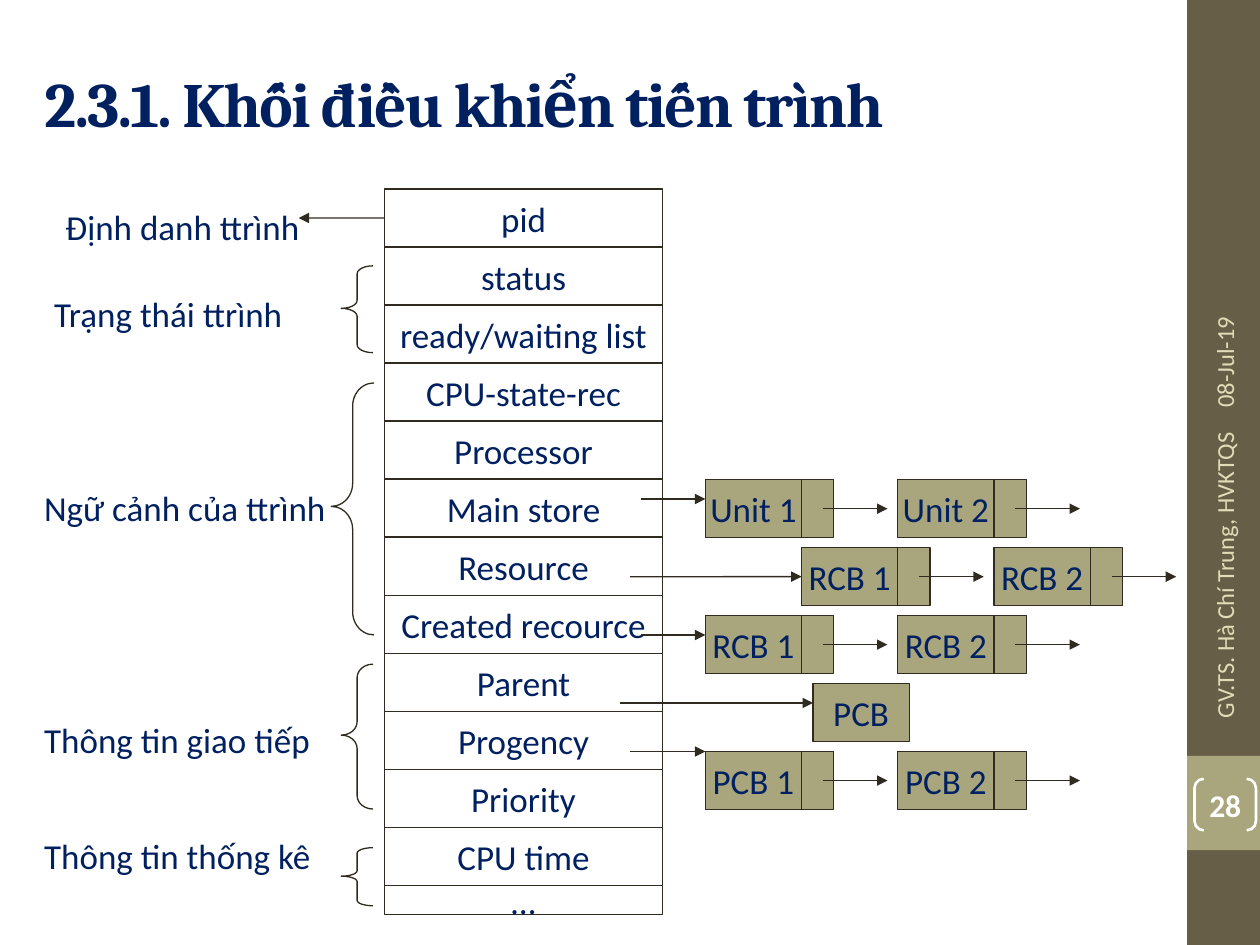
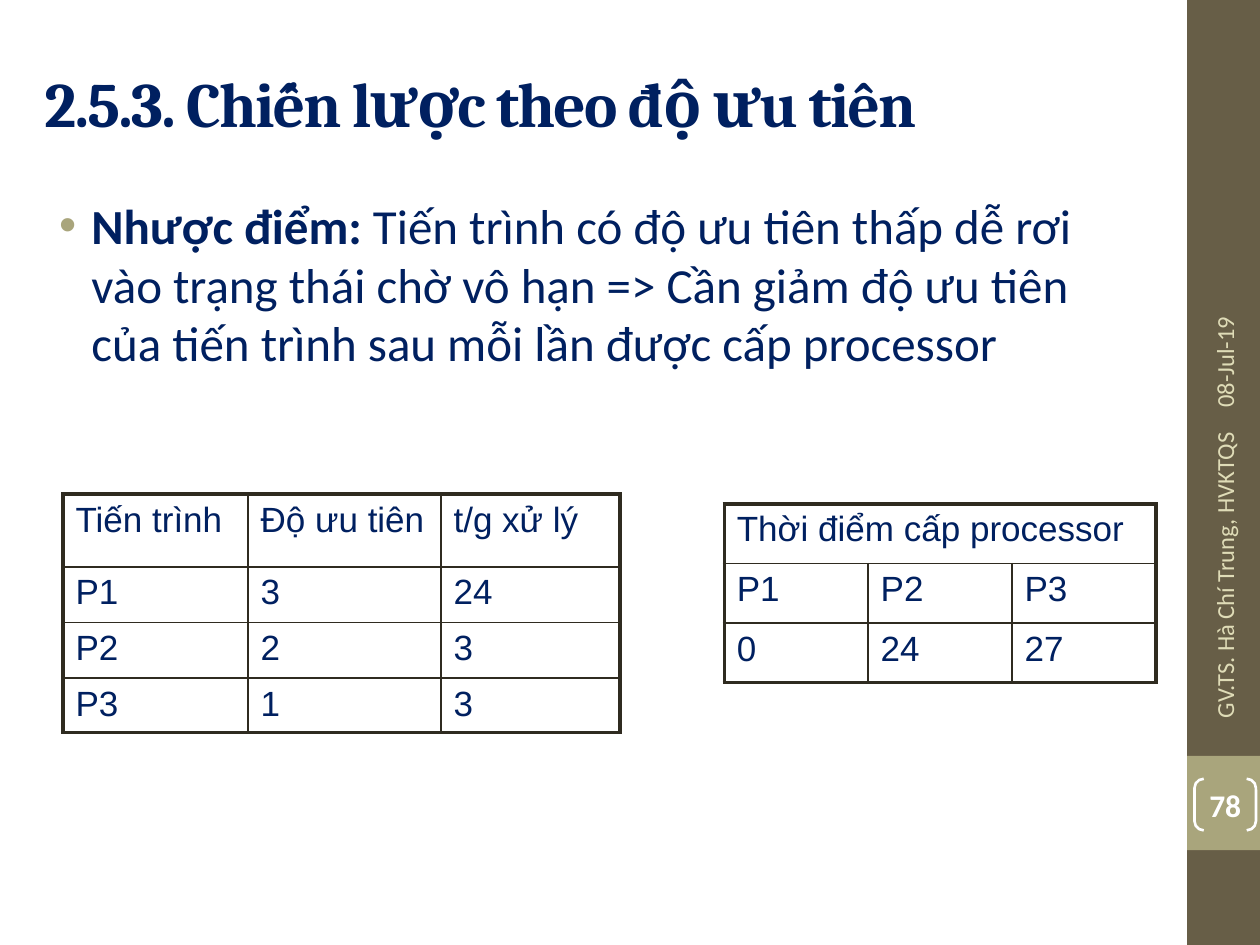
from dataclasses import dataclass
from typing import Any, Optional

from lxml import etree
from pptx import Presentation
from pptx.dml.color import RGBColor
from pptx.enum.shapes import MSO_CONNECTOR, MSO_SHAPE
from pptx.enum.text import MSO_ANCHOR, PP_ALIGN
from pptx.oxml.ns import qn
from pptx.util import Cm, Pt

RECTANGLE = MSO_SHAPE.RECTANGLE
LEFT_BRACE = MSO_SHAPE.LEFT_BRACE
BRACKETS = MSO_SHAPE.DOUBLE_BRACKET
STRAIGHT = MSO_CONNECTOR.STRAIGHT
MIDDLE = MSO_ANCHOR.MIDDLE
LEFT, CENTER, RIGHT = PP_ALIGN.LEFT, PP_ALIGN.CENTER, PP_ALIGN.RIGHT
LEFT_SIDE = 1

NAVY, INK, OLIVE = "002060", "2F2B20", "A9A57C"
BROWN, CREAM, WHITE = "675E47", "DFDCB7", "FFFFFF"

TITLE_FONT = {"name": "Cambria", "size": Pt(36), "bold": True}
BODY_FONT = {"name": "Calibri", "size": Pt(28)}
LABEL_FONT = {"name": "Calibri", "size": Pt(20), "bold": False}
TABLE_FONT = {"name": "Arial", "size": Pt(20), "bold": False}
FOOTER_FONT = {"name": "Calibri", "size": Pt(14)}
NUMBER_FONT = {"name": "Calibri", "size": Pt(18), "bold": True}

FIELD_LEFT, FIELD_TOP, FIELD_WIDTH, ROW_HEIGHT = 7.75, 3.81, 5.61, 1.17
LAST_ROW_HEIGHT = 0.59
NODE_WIDTH, TAB_WIDTH, NODE_STEP = 1.94, 0.65, 3.88
CHAIN_LEFT, CHAIN_TOP, CHAIN_STEP = 14.22, 9.67, 1.37
LINK_START, LINK_LENGTH = 2.37, 1.3


@dataclass
class Area:
    left: float
    top: float
    width: float
    height: float

    def lengths(self) -> tuple:
        return Cm(self.left), Cm(self.top), Cm(self.width), Cm(self.height)


@dataclass
class Label:
    text: str
    left: float
    top: float
    width: float


@dataclass
class Brace:
    area: Area
    curve: float


@dataclass
class Chain:
    nodes: list[str]
    left: float
    entry_left: float
    entry_drop: float
    linked: bool = True


@dataclass
class Grid:
    left: float
    top: float
    columns: list[float]
    heights: list[float]
    rows: list[list[str]]


FIELDS = ["pid", "status", "ready/waiting list", "CPU-state-rec", "Processor",
          "Main store", "Resource", "Created recource", "Parent", "Progency",
          "Priority", "CPU time", "…"]
LABELS = [
    Label("Định danh ttrình", 1.07, 4.01, 5.28),
    Label("Trạng thái ttrình", 0.84, 5.77, 5.18),
    Label("Ngữ cảnh của ttrình", 0.64, 9.68, 6.25),
    Label("Thông tin giao tiếp", 0.64, 14.35, 5.92),
    Label("Thông tin thống kê", 0.64, 16.69, 5.94),
]
BRACES = [
    Brace(Area(6.88, 5.36, 0.64, 1.75), 0.25),
    Brace(Area(6.68, 7.72, 0.86, 5.08), 0.54),
    Brace(Area(6.88, 13.39, 0.64, 2.92), 0.42),
    Brace(Area(6.88, 17.09, 0.64, 1.17), 0.17),
]
CHAINS = [
    Chain(["Unit 1", "Unit 2"], CHAIN_LEFT, 12.93, 0.39),
    Chain(["RCB 1", "RCB 2"], CHAIN_LEFT + NODE_WIDTH, 12.7, ROW_HEIGHT / 2),
    Chain(["RCB 1", "RCB 2"], CHAIN_LEFT, 12.93, 0.39),
    Chain(["PCB"], 16.39, 12.5, 0.39, linked=False),
    Chain(["PCB 1", "PCB 2"], CHAIN_LEFT, 12.7, 0),
]
GRIDS = [
    Grid(1.27, 9.96, [3.73, 3.89, 3.61], [1.47, 1.12, 1.12, 1.04],
         [["Tiến trình", "Độ ưu tiên", "t/g xử lý"],
          ["P1", "3", "24"], ["P2", "2", "3"], ["P3", "1", "3"]]),
    Grid(14.6, 10.16, [2.9] * 3, [1.2] * 3,
         [["Thời điểm cấp processor"], ["P1", "P2", "P3"], ["0", "24", "27"]]),
]


def rgb(value: str) -> RGBColor:
    return RGBColor.from_string(value)


def apply(target: Any, values: dict) -> None:
    for name, value in values.items():
        setattr(target, name, value)


def write(para: Any, text: str, font: dict, color: str = NAVY) -> Any:
    span = para.add_run()
    span.text = text
    apply(span.font, font)
    span.font.color.rgb = rgb(color)
    return span


def add_box(page: Any, area: Area, fill: Optional[str] = None, line: Optional[str] = INK,
            kind: Any = RECTANGLE, weight: float = 0.75) -> Any:
    box = page.shapes.add_shape(kind, *area.lengths())
    box.shadow.inherit = False
    if fill:
        box.fill.solid()
        box.fill.fore_color.rgb = rgb(fill)
    else:
        box.fill.background()
    if line:
        box.line.color.rgb = rgb(line)
        box.line.width = Pt(weight)
    else:
        box.line.fill.background()
    return box


def fill_box(box: Any, text: str, font: dict = LABEL_FONT, color: str = NAVY) -> None:
    apply(box.text_frame, {"word_wrap": False, "vertical_anchor": MIDDLE})
    para = box.text_frame.paragraphs[0]
    para.alignment = CENTER
    write(para, text, font, color)


def add_arrow(page: Any, start: float, end: float, top: float) -> Any:
    arrow = page.shapes.add_connector(STRAIGHT, Cm(start), Cm(top), Cm(end), Cm(top))
    arrow.line.color.rgb = rgb(INK)
    arrow.line.width = Pt(0.75)
    properties = arrow.element.spPr
    etree.SubElement(properties.find(qn("a:ln")), qn("a:tailEnd"), type="triangle")
    etree.SubElement(properties, qn("a:effectLst"))
    return arrow


def place(shape: Any, area: Area) -> None:
    apply(shape, dict(zip(("left", "top", "width", "height"), area.lengths())))


def add_side_text(page: Any, text: str, area: Area, alignment: Any) -> None:
    box = page.shapes.add_textbox(*area.lengths())
    box.rotation = 270
    apply(box.text_frame, {"word_wrap": True, "vertical_anchor": MIDDLE})
    para = box.text_frame.paragraphs[0]
    para.alignment = alignment
    write(para, text, FOOTER_FONT, CREAM)


def start_page(deck: Any, layout: int, title: str, number: str) -> Any:
    page = deck.slides.add_slide(deck.slide_layouts[layout])
    heading = page.shapes.title
    place(heading, Area(0.64, 0.76, 22.66, 2.62))
    heading.text_frame.vertical_anchor = MIDDLE
    para = heading.text_frame.paragraphs[0]
    para.alignment = LEFT
    span = write(para, title, TITLE_FONT)
    span.font.element.set("spc", "-100") if hasattr(span.font, "element") else \
        span.font._element.set("spc", "-100") if hasattr(span.font, "_element") else \
        span._r.get_or_add_rPr().set("spc", "-100")
    add_box(page, Area(23.93, 0, 1.47, 19.05), BROWN, None)
    add_box(page, Area(23.93, 15.24, 1.47, 1.9), OLIVE, None)
    add_side_text(page, "08-Jul-19", Area(21.29, 4.57, 6.78, 1.02), LEFT)
    add_side_text(page, "GV.TS. Hà Chí Trung, HVKTQS", Area(21.39, 11.25, 6.58, 1.02), RIGHT)
    badge = add_box(page, Area(24.08, 15.7, 1.24, 1.04), None, WHITE, BRACKETS, 1.5)
    badge.adjustments[0] = 0.18
    apply(badge.text_frame, dict.fromkeys(
        ("margin_left", "margin_top", "margin_right", "margin_bottom"), 0))
    fill_box(badge, number, NUMBER_FONT, WHITE)
    return page


def draw_chain(page: Any, chain: Chain, top: float) -> None:
    middle = top + ROW_HEIGHT / 2
    lefts = [chain.left + index * NODE_STEP for index in range(len(chain.nodes))]
    boxes = []
    for text, left in zip(chain.nodes, lefts):
        box = add_box(page, Area(left, top, NODE_WIDTH, ROW_HEIGHT), OLIVE)
        fill_box(box, text)
        boxes.append(box)
        if chain.linked:
            add_box(page, Area(left + NODE_WIDTH, top, TAB_WIDTH, ROW_HEIGHT), OLIVE)
    entry = add_arrow(page, chain.entry_left, chain.left, top + chain.entry_drop)
    if chain.entry_drop == ROW_HEIGHT / 2:
        entry.end_connect(boxes[0], LEFT_SIDE)
    if chain.linked:
        for left in lefts:
            add_arrow(page, left + LINK_START, left + LINK_START + LINK_LENGTH, middle)


def draw_control_block(page: Any) -> None:
    boxes = []
    for index, text in enumerate(FIELDS):
        height = LAST_ROW_HEIGHT if index == len(FIELDS) - 1 else ROW_HEIGHT
        box = add_box(page, Area(FIELD_LEFT, FIELD_TOP + index * ROW_HEIGHT, FIELD_WIDTH, height))
        fill_box(box, text)
        boxes.append(box)
    for index, chain in enumerate(CHAINS):
        draw_chain(page, chain, CHAIN_TOP + index * CHAIN_STEP)
    for brace in BRACES:
        shape = add_box(page, brace.area, kind=LEFT_BRACE)
        shape.adjustments[0] = brace.curve
        shape.adjustments[1] = 0.49
    for label in LABELS:
        box = page.shapes.add_textbox(*Area(label.left, label.top, label.width, 1.12).lengths())
        box.text_frame.word_wrap = False
        write(box.text_frame.paragraphs[0], label.text, LABEL_FONT)
    pid_arrow = add_arrow(page, FIELD_LEFT, 6.02, FIELD_TOP + ROW_HEIGHT / 2)
    pid_arrow.begin_connect(boxes[0], LEFT_SIDE)


def draw_drawback(page: Any) -> None:
    body = page.placeholders[1]
    place(body, Area(0.64, 3.81, 22.66, 14.81))
    para = body.text_frame.paragraphs[0]
    para.space_before = Pt(5.6)
    write(para, "Nhược điểm: ", BODY_FONT | {"bold": True})
    write(para, "Tiến trình có độ ưu tiên thấp dễ rơi vào trạng thái chờ vô hạn => "
                "Cần giảm độ ưu tiên của tiến trình sau mỗi lần được cấp processor",
          BODY_FONT | {"bold": False})
    properties = para._p.get_or_add_pPr()
    properties.set("marL", str(Cm(0.95)))
    properties.set("indent", str(Cm(-0.64)))
    color = etree.SubElement(properties, qn("a:buClr"))
    etree.SubElement(color, qn("a:srgbClr"), val=OLIVE)
    etree.SubElement(properties, qn("a:buFont"), typeface="Arial")
    etree.SubElement(properties, qn("a:buChar"), char="•")


def set_borders(cell: Any, outer: dict[str, bool]) -> None:
    properties = cell._tc.get_or_add_tcPr()
    for index, (side, is_outer) in enumerate(outer.items()):
        border = etree.Element(qn(f"a:ln{side}"), w=str(Pt(2.25 if is_outer else 1)))
        fill = etree.SubElement(border, qn("a:solidFill"))
        etree.SubElement(fill, qn("a:srgbClr"), val=INK)
        properties.insert(index, border)


def draw_grid(page: Any, grid: Grid) -> None:
    row_count, column_count = len(grid.heights), len(grid.columns)
    area = Area(grid.left, grid.top, sum(grid.columns), sum(grid.heights))
    table = page.shapes.add_table(row_count, column_count, *area.lengths()).table
    apply(table, {"first_row": False, "horz_banding": False})
    for column, width in zip(table.columns, grid.columns):
        column.width = Cm(width)
    for index, (row, height, texts) in enumerate(zip(table.rows, grid.heights, grid.rows)):
        row.height = Cm(height)
        if len(texts) == 1:
            table.cell(index, 0).merge(table.cell(index, column_count - 1))
        for position, cell in enumerate(row.cells):
            cell.fill.background()
            set_borders(cell, {"L": position == 0,
                               "R": position + cell.span_width == column_count,
                               "T": index == 0, "B": index == row_count - 1})
            if position < len(texts):
                para = cell.text_frame.paragraphs[0]
                para.space_before = Pt(4)
                write(para, texts[position], TABLE_FONT)


def main() -> None:
    deck = Presentation()
    apply(deck, {"slide_width": Cm(25.4), "slide_height": Cm(19.05)})
    draw_control_block(start_page(deck, 5, "2.3.1. Khối điều khiển tiến trình", "28"))
    page = start_page(deck, 1, "2.5.3. Chiến lược theo độ ưu tiên", "78")
    draw_drawback(page)
    for grid in GRIDS:
        draw_grid(page, grid)
    deck.save("out.pptx")


if __name__ == "__main__":
    main()
